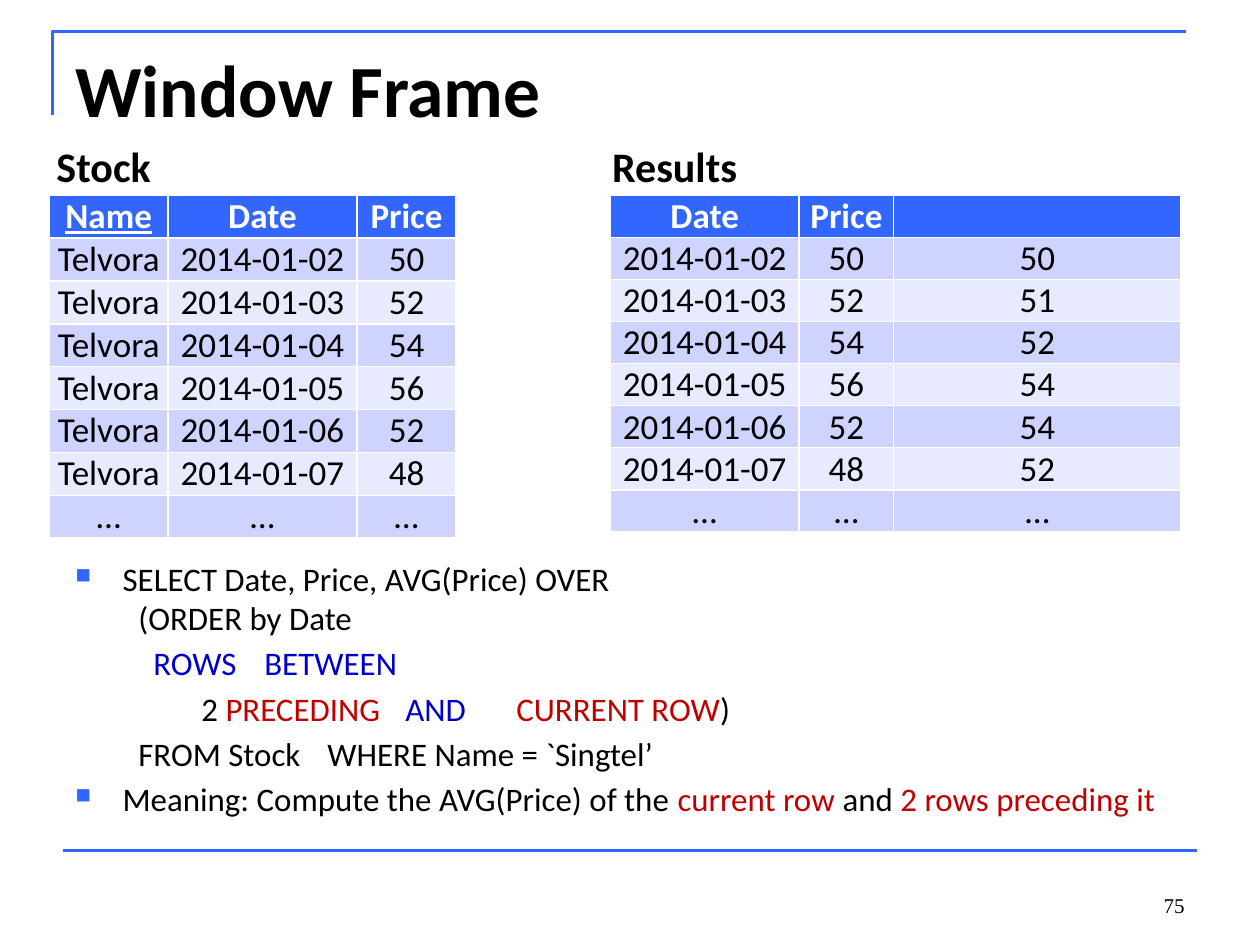
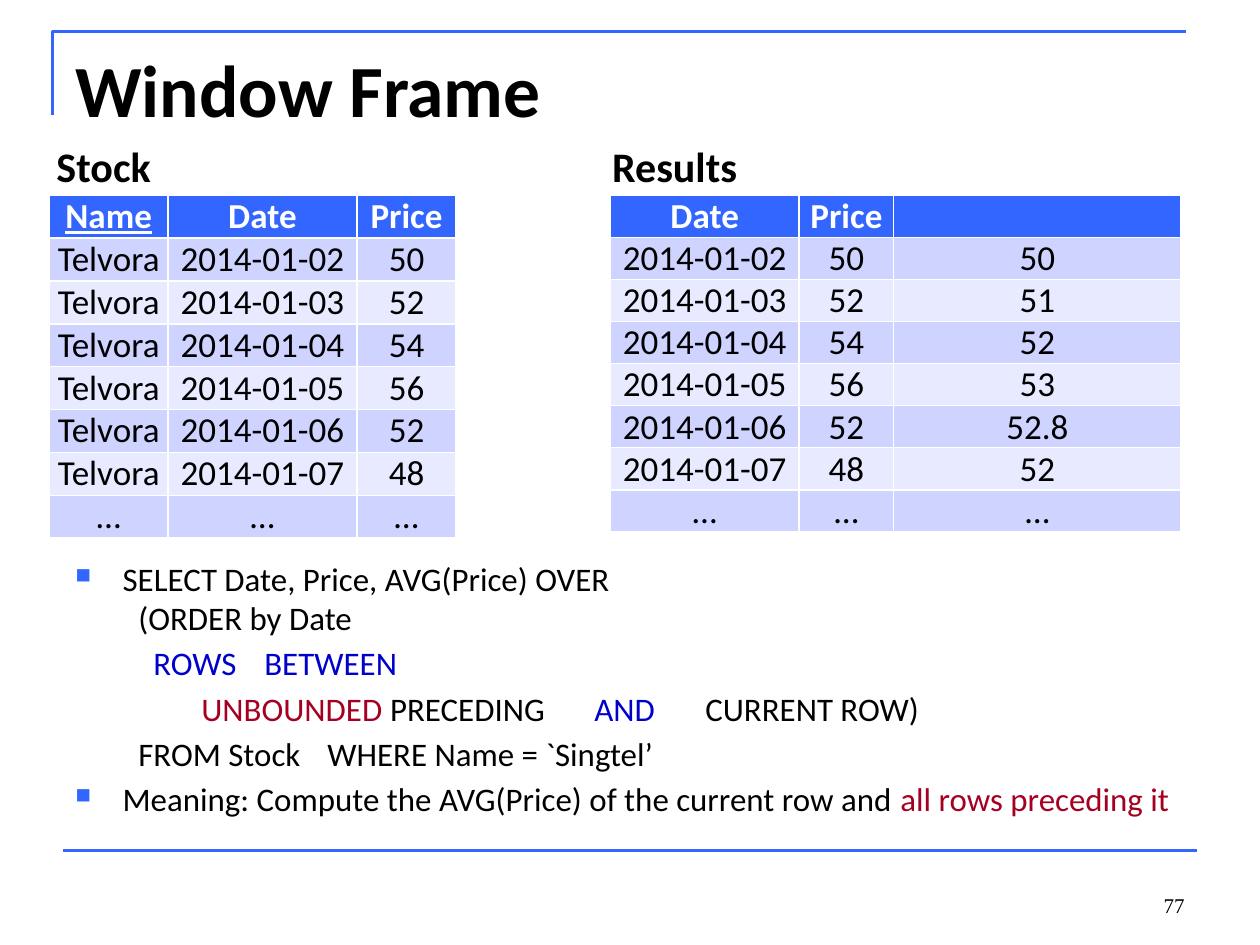
from lxml import etree
from pptx import Presentation
from pptx.dml.color import RGBColor
from pptx.enum import shapes, text
from pptx.oxml import ns
from pptx.util import Pt

COLORS = {"accent": "3366FF", "band": "CED3FF", "light": "E8EAFF", "ink": "000000",
          "white": "FFFFFF", "keyword": "0000CC", "red": "C00000", "crimson": "A50021"}
BODY_FONT, NUMBER_FONT = "Calibri", "Times New Roman"


def write(frame, paragraphs, size=20, color="ink", font=BODY_FONT, bold=False, underline=False,
          align=text.PP_ALIGN.LEFT, anchor=text.MSO_ANCHOR.TOP, gap=0, bullets=()):
    """Fill a frame; a paragraph is a list of (text, colour) runs or a plain string."""
    frame.word_wrap = True
    frame.vertical_anchor = anchor
    for index, runs in enumerate(paragraphs):
        paragraph = frame.paragraphs[0] if index == 0 else frame.add_paragraph()
        paragraph.alignment = align
        if index:
            paragraph.space_before = Pt(gap)
        if index in bullets:
            props = paragraph._p.get_or_add_pPr()
            props.set("marL", str(Pt(27)))
            props.set("indent", str(Pt(-27)))
            bullet_color = etree.SubElement(props, ns.qn("a:buClr"))
            etree.SubElement(bullet_color, ns.qn("a:srgbClr"), val=COLORS["accent"])
            etree.SubElement(props, ns.qn("a:buSzPct"), val="65000")
            etree.SubElement(props, ns.qn("a:buChar"), char="■")
        for words, run_color in [(runs, color)] if isinstance(runs, str) else runs:
            for line_index, line in enumerate(words.split("\n")):
                if line_index:
                    paragraph.add_line_break()
                run = paragraph.add_run()
                run.text = line
                run.font.name, run.font.size = font, Pt(size)
                run.font.bold, run.font.underline = bold, underline
                run.font.color.rgb = RGBColor.from_string(COLORS[run_color])


def add_text(slide, left, top, width, height, paragraphs, **style):
    box = slide.shapes.add_textbox(Pt(left), Pt(top), Pt(width), Pt(height))
    write(box.text_frame, paragraphs, **style)


# Content: shared stock prices, then what differs on each slide
dates = [f"2014-01-0{day}" for day in range(2, 8)] + ["…"]
prices = ["50", "52", "54", "56", "52", "48", "…"]
companies = ["Telvora"] * 6 + ["…"]
stock_rows = [("Name", "Date", "Price"), *zip(companies, dates, prices)]

frames = [
    {"number": "75",
     "averages": ["50", "51", "52", "54", "54", "52", "…"],
     "bounds": [("\t\t2 ", "ink"), ("PRECEDING \t  ", "red"), ("AND \t", "keyword"),
                ("CURRENT ROW", "red"), (")", "ink")],
     "meaning": [("current row", "red"), (" and ", "ink"), ("2 rows preceding it", "red")]},
    {"number": "77",
     "averages": ["50", "51", "52", "53", "52.8", "52", "…"],
     "bounds": [("\t\t", "ink"), ("UNBOUNDED", "crimson"), (" PRECEDING \t  ", "ink"),
                ("AND", "keyword"), (" \tCURRENT ROW)", "ink")],
     "meaning": [("current row and ", "ink"), ("all rows preceding it", "crimson")]},
]

deck = Presentation()
deck.slide_width, deck.slide_height = Pt(720), Pt(540)

for window in frames:
    slide = deck.slides.add_slide(deck.slide_layouts[6])

    # Corner rule and bottom rule
    builder = slide.shapes.build_freeform(Pt(30), Pt(66), scale=1.0)
    builder.add_line_segments([(Pt(30), Pt(18)), (Pt(678), Pt(18))], close=False)
    corner = builder.convert_to_shape()
    corner.shadow.inherit = False
    corner.fill.background()
    bottom_rule = slide.shapes.add_connector(
        shapes.MSO_CONNECTOR.STRAIGHT, Pt(36), Pt(486), Pt(684), Pt(486))
    etree.SubElement(bottom_rule._element.spPr, ns.qn("a:effectLst"))
    for rule in (corner, bottom_rule):
        rule.line.color.rgb = RGBColor.from_string(COLORS["accent"])
        rule.line.width = Pt(1.5)

    # Title, query with its meaning, slide number
    add_text(slide, 36, 21.6, 648, 90, ["Window Frame"], size=42, bold=True)
    query = [
        "SELECT Date, Price, AVG(Price) OVER \n\t(ORDER by Date",
        [("\t  ", "ink"), ("ROWS \tBETWEEN", "keyword")],
        window["bounds"],
        "\tFROM Stock\tWHERE Name = `Singtel’",
        [("Meaning: Compute the AVG(Price) of the ", "ink"), *window["meaning"]],
    ]
    add_text(slide, 36, 315.4, 648, 167, query, size=18.8, gap=3.3, bullets=(0, 4))
    add_text(slide, 516, 492, 168, 36, [window["number"]], size=12, font=NUMBER_FONT,
             align=text.PP_ALIGN.RIGHT, anchor=text.MSO_ANCHOR.BOTTOM)

    # Stock and result tables with their labels
    result_rows = [("Date", "Price", ""), *zip(dates, prices, window["averages"])]
    for label, label_left, left, widths, row_height, rows in [
        ("Stock", 25.2, 28.3, (67.7, 108, 56.7), 24.5, stock_rows),
        ("Results", 342.7, 348.7, (108, 54, 164.2), 24, result_rows),
    ]:
        table = slide.shapes.add_table(len(rows), len(widths), Pt(left), Pt(111.6),
                                       Pt(sum(widths)), Pt(row_height * len(rows))).table
        for column, width in zip(table.columns, widths):
            column.width = Pt(width)
        for row_index, row in enumerate(rows):
            header = row_index == 0
            fill = "accent" if header else "band" if row_index % 2 else "light"
            for column_index, value in enumerate(row):
                cell = table.cell(row_index, column_index)
                cell.margin_left = cell.margin_right = cell.margin_top = cell.margin_bottom = 0
                cell.vertical_anchor = text.MSO_ANCHOR.MIDDLE
                cell.fill.solid()
                cell.fill.fore_color.rgb = RGBColor.from_string(COLORS[fill])
                if value:
                    write(cell.text_frame, [value], color="white" if header else "ink",
                          bold=header, underline=value == "Name",
                          align=text.PP_ALIGN.CENTER, anchor=None)
        add_text(slide, label_left, 77, 98.6, 36, [label], size=24, bold=True)

deck.save("out.pptx")
